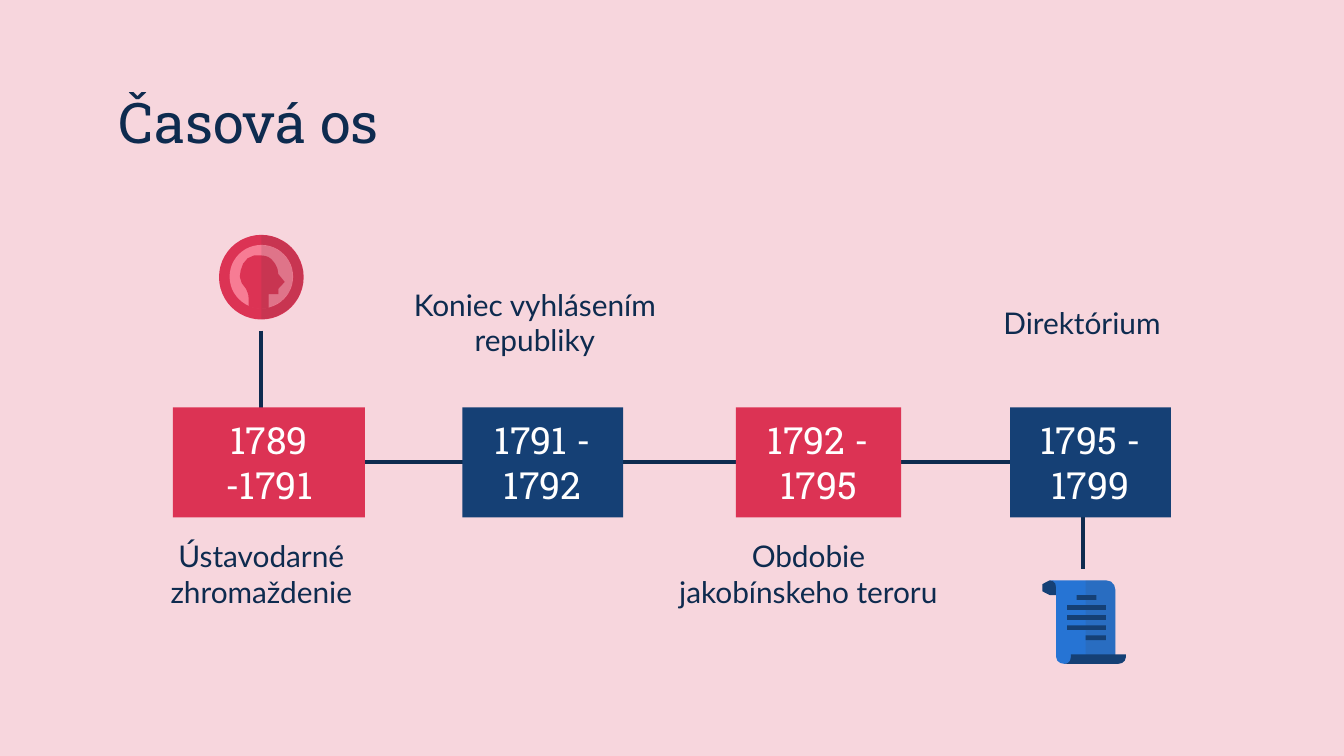
"""Build a timeline slide with four dated periods and two icons."""
import math

import lxml.etree
import pptx
import pptx.dml.color
import pptx.enum.shapes
import pptx.enum.text
import pptx.oxml.ns
import pptx.util

Cm = pptx.util.Cm
PRESET = pptx.enum.shapes.MSO_SHAPE
INK, NAVY, RED, PINK, BLUE, SHADE = "0E2B4F", "154075", "DC3354", "F77C94", "2674D4", "434343"
PERIODS = [
    ("1789 -1791", "Ústavodarné zhromaždenie", 3.27, 3.63, RED),
    ("1791 - 1792", "Koniec vyhlásením republiky", 8.74, 3.04, NAVY),
    ("1792 - 1795", "Obdobie jakobínskeho teroru", 13.91, 3.12, RED),
    ("1795 - 1799", "Direktórium", 19.09, 3.04, NAVY),
]
FACE = [(4.94, 5.84), (5.08, 5.82), (5.08, 5.56), (5.26, 5.56), (5.26, 5.46),
        (5.38, 5.33), (5.26, 5.18), (5.26, 5.08, 5.21, 4.98, 5.13, 4.9),
        (5.08, 4.85, 5, 4.83, 4.94, 4.83)]
NAPE = [(4.8, 4.83), (4.67, 4.85, 4.57, 4.98, 4.55, 5.11),
        (4.5, 5.23, 4.55, 5.36, 4.65, 5.46), (4.67, 5.51, 4.7, 5.56, 4.7, 5.64),
        (4.7, 5.79), (4.78, 5.82, 4.85, 5.84, 4.94, 5.84)]
CURL = [(19.84, 10.97), (19.63, 10.97, 19.63, 11.25, 19.84, 11.25), (20.07, 11.25),
        (20.07, 11.1), (20.07, 11.02, 19.91, 10.97, 19.84, 10.97)]
SHEET_LEFT = [(19.84, 10.97), (19.91, 10.97, 19.96, 11.02, 19.96, 11.1), (19.96, 12.42),
              (19.96, 12.5, 20.04, 12.55, 20.12, 12.55),
              (20.19, 12.55, 20.35, 12.5, 20.35, 12.42)]
SHEET_RIGHT = [(20.52, 12.42), (21.08, 12.45), (21.08, 11.15),
               (21.08, 11.05, 21.01, 10.97, 20.9, 10.97)]
ROLLER = [(20.24, 12.37), (20.24, 12.42), (20.24, 12.5, 20.19, 12.55, 20.12, 12.55),
          (21.13, 12.55), (21.21, 12.55, 21.28, 12.5, 21.28, 12.42), (21.28, 12.37)]
WRITING = [(20.35, 20.72), (20.17, 20.9), (20.17, 20.9), (20.17, 20.9), (20.52, 20.9)]


def colour(code):
    """Return the colour for a hex string."""
    return pptx.dml.color.RGBColor.from_string(code)


def fill_shape(shape, code, alpha=None):
    """Give a shape a flat fill, optionally translucent, without line or shadow."""
    shape.shadow.inherit = False
    shape.line.fill.background()
    shape.fill.solid()
    shape.fill.fore_color.rgb = colour(code)
    if alpha:
        qualified = pptx.oxml.ns.qn
        tint = shape._element.spPr.find(qualified("a:solidFill")).find(qualified("a:srgbClr"))
        lxml.etree.SubElement(tint, qualified("a:alpha")).set("val", str(alpha * 1000))


def write_text(shape, text, font, size, code, centred=True):
    """Write one vertically centred paragraph into a shape."""
    frame = shape.text_frame
    frame.word_wrap = True
    frame.auto_size = pptx.enum.text.MSO_AUTO_SIZE.NONE
    frame.vertical_anchor = pptx.enum.text.MSO_ANCHOR.MIDDLE
    frame.margin_left = frame.margin_right = Cm(0.25)
    frame.margin_top = frame.margin_bottom = Cm(0.25)
    para = frame.paragraphs[0]
    align = pptx.enum.text.PP_ALIGN
    para.alignment = align.CENTER if centred else align.LEFT
    span = para.add_run()
    span.text = text
    span.font.name = font
    span.font.size = pptx.util.Pt(size)
    span.font.color.rgb = colour(code)


def add_title(page, text):
    """Place and format the title placeholder."""
    title = page.shapes.title
    title.left, title.top, title.width, title.height = Cm(1.99), Cm(1.49), Cm(21.43), Cm(1.6)
    write_text(title, text, "Roboto Slab", 30, INK, centred=False)


def add_line(page, start_x, start_y, end_x, end_y):
    """Draw a straight timeline stroke."""
    line = page.shapes.add_connector(pptx.enum.shapes.MSO_CONNECTOR.STRAIGHT,
                                     Cm(start_x), Cm(start_y), Cm(end_x), Cm(end_y))
    line.line.color.rgb = colour(INK)
    line.line.width = pptx.util.Pt(2.25)
    lxml.etree.SubElement(line._element.spPr, pptx.oxml.ns.qn("a:effectLst"))
    return line


def add_preset(parent, preset, left, top, width, height, code):
    """Add a flat preset shape to a page or an icon group."""
    shape = parent.shapes.add_shape(preset, Cm(left), Cm(top), Cm(width), Cm(height))
    fill_shape(shape, code)
    return shape


def add_period(page, years, left, width, code):
    """Draw the box holding the years of one period."""
    box = add_preset(page, PRESET.RECTANGLE, left, 7.7, width, 2.08, code)
    write_text(box, years, "Roboto Slab", 20, "FFFFFF")
    return box


def add_label(page, text, column):
    """Write a period's name below even columns and above odd ones."""
    top = 5.29 if column % 2 else 10.05
    label = page.shapes.add_textbox(Cm(1.98 + 5.17 * column), Cm(top), Cm(5.92), Cm(1.6))
    write_text(label, text, "Lato", 16, INK)


def bezier(start, curve, steps=3):
    """Return points along a cubic curve given as two controls and an end."""
    knots = [start, curve[:2], curve[2:4], curve[4:]]
    return [tuple(sum(math.comb(3, k) * (1 - t) ** (3 - k) * t ** k * knot[axis]
                      for k, knot in enumerate(knots)) for axis in (0, 1))
            for t in (step / steps for step in range(1, steps + 1))]


def add_outline(icon, outline, code, alpha=None):
    """Add a closed outline of corners and curves to an icon group."""
    points = []
    for part in outline:
        points += bezier(points[-1], part) if len(part) == 6 else [part]
    corners = [(Cm(x), Cm(y)) for x, y in points]
    builder = icon.shapes.build_freeform(*corners[0])
    builder.add_line_segments(corners[1:], close=True)
    fill_shape(builder.convert_to_shape(), code, alpha)


def add_disc(icon, centre_x, centre_y, radius, code):
    """Add a disc whose right half is shaded."""
    add_preset(icon, PRESET.OVAL, centre_x - radius, centre_y - radius,
               2 * radius, 2 * radius, code)
    angles = [math.radians(degree) for degree in range(0, 181, 20)]
    half = [(centre_x + radius * math.sin(angle), centre_y - radius * math.cos(angle))
            for angle in angles]
    add_outline(icon, half, SHADE, 13)


def add_medallion(page):
    """Draw the round head icon with its shaded right half."""
    icon = page.shapes.add_group_shape()
    add_disc(icon, 4.94, 5.24, 0.8, RED)
    add_disc(icon, 4.94, 5.23, 0.6, PINK)
    add_outline(icon, FACE + NAPE, RED)
    add_outline(icon, FACE, SHADE, 13)


def add_scroll(page):
    """Draw the scroll icon with its lines of writing."""
    icon = page.shapes.add_group_shape()
    add_outline(icon, CURL, NAVY)
    add_outline(icon, SHEET_LEFT + SHEET_RIGHT, BLUE)
    add_outline(icon, [(20.52, 10.97)] + SHEET_RIGHT, SHADE, 13)
    for row, (left, right) in enumerate(WRITING):
        add_preset(icon, PRESET.RECTANGLE, left, 11.25 + 0.19 * row, right - left, 0.09, NAVY)
    add_outline(icon, ROLLER, NAVY)


def main():
    """Assemble and save the slide."""
    deck = pptx.Presentation()
    deck.slide_width, deck.slide_height = Cm(25.4), Cm(14.29)
    page = deck.slides.add_slide(deck.slide_layouts[5])
    page.background.fill.solid()
    page.background.fill.fore_color.rgb = colour("F7D6DD")
    add_title(page, "Časová os")
    axis = add_line(page, 6.9, 8.74, 19.09, 8.74)
    add_line(page, 4.93, 6.25, 4.93, 7.75)
    add_line(page, 20.47, 9.27, 20.47, 10.75)
    boxes = [add_period(page, years, left, width, code)
             for years, _, left, width, code in PERIODS]
    axis.begin_connect(boxes[0], 3)
    axis.end_connect(boxes[-1], 1)
    for column, period in enumerate(PERIODS):
        add_label(page, period[1], column)
    add_scroll(page)
    add_medallion(page)
    deck.save("out.pptx")


if __name__ == "__main__":
    main()
